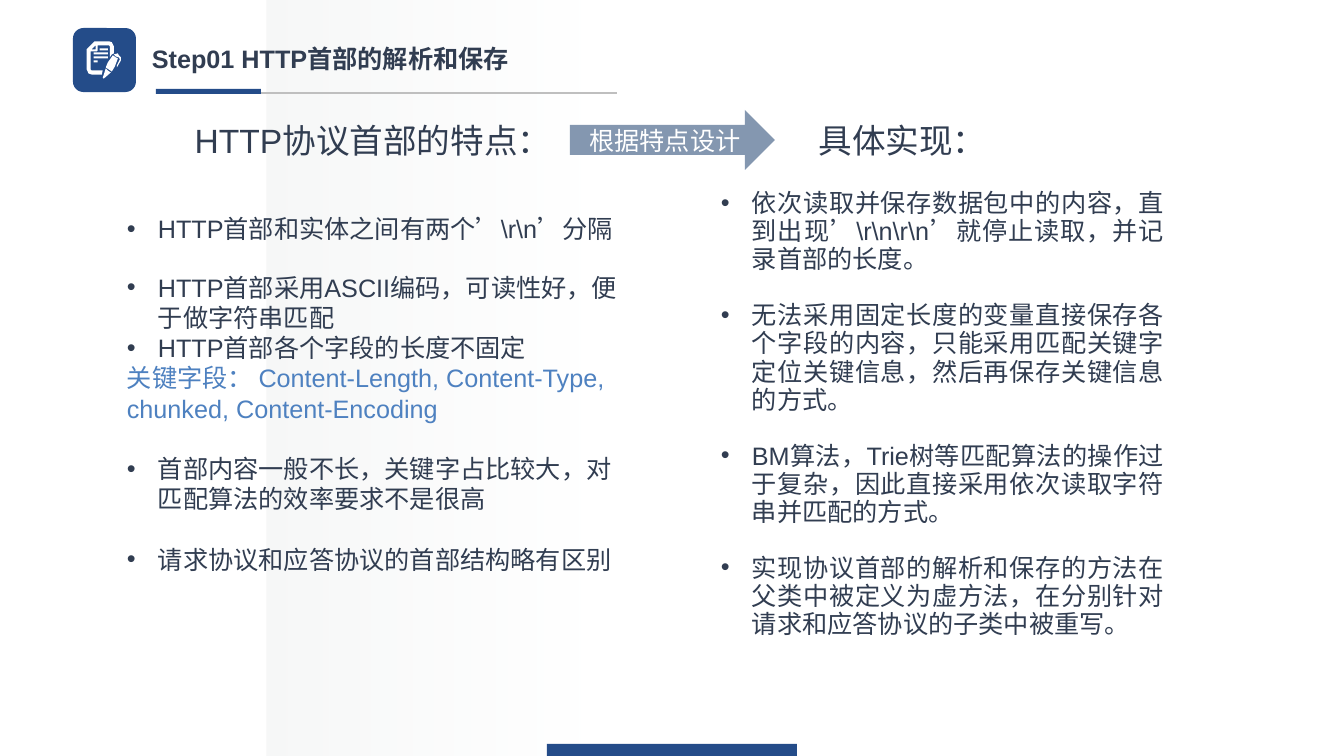
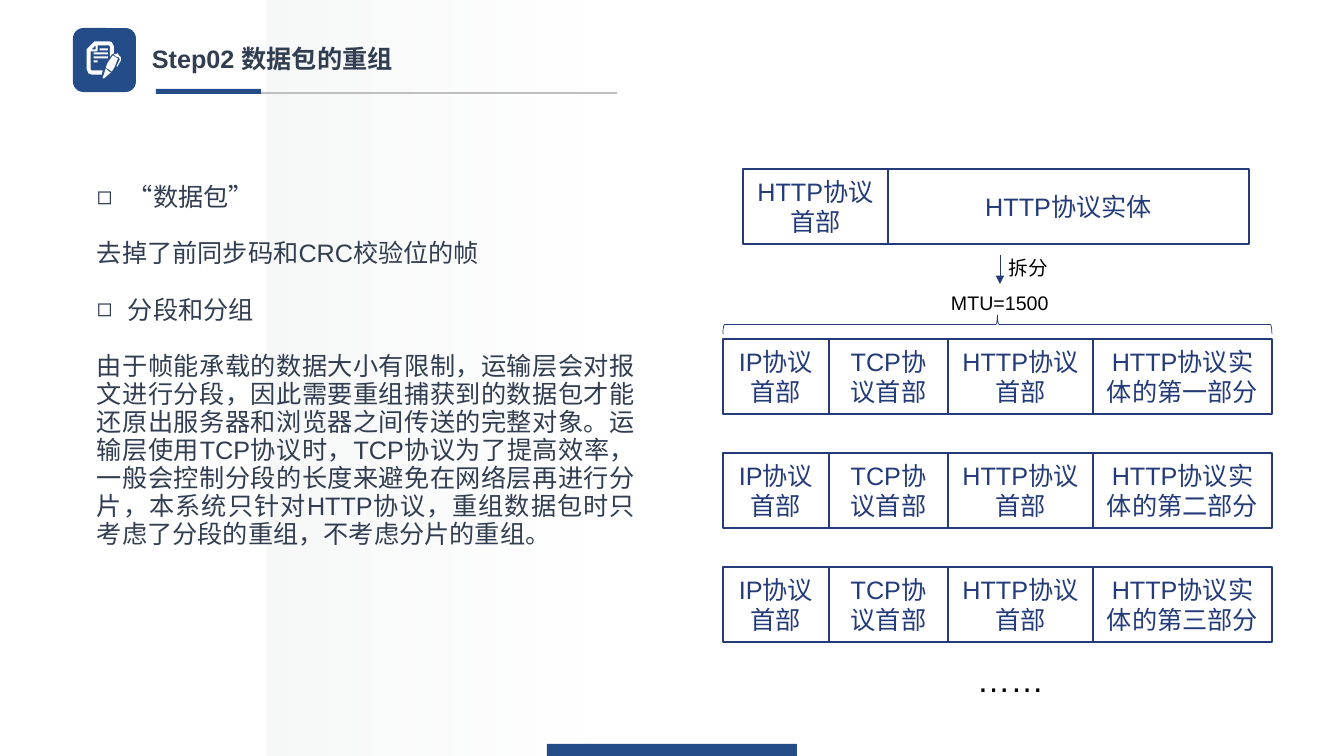
import copy
import pptx
import pptx.util
import pptx.dml.color
import pptx.enum.shapes
import pptx.enum.text
import pptx.oxml
import pptx.oxml.ns
import lxml.etree

Pt = pptx.util.Pt
Kind = pptx.enum.shapes.MSO_SHAPE
Align = pptx.enum.text.PP_ALIGN
qn = pptx.oxml.ns.qn
PX = 914400 / 100.8
COLORS = {"blue": "244C89", "navy": "243B7A", "ink": "313D51", "sky": "4E81C0",
          "steel": "8497B0", "gray": "BFBFBF", "mist": "F6F7F7",
          "white": "FFFFFF", "black": "000000"}
RGB = {name: pptx.dml.color.RGBColor.from_string(code) for name, code in COLORS.items()}

# Text formats
EXACT = {"alignment": Align.JUSTIFY, "line_spacing": Pt(20)}
GAP = {**EXACT, "space_before": Pt(20)}
HEAD = {"alignment": Align.CENTER, "line_spacing": Pt(20)}
MID = {"alignment": Align.CENTER}
FREE = {"alignment": Align.LEFT}
APART = {**FREE, "space_before": Pt(21.5)}

deck = pptx.Presentation()
deck.slide_width, deck.slide_height = int(1344 * PX), int(756 * PX)


def draw(page, kind, box, fill=None, line=None, width=1):
    """Add a shape (left, top, width, height) or, without a kind, a line (x1, y1, x2, y2)."""
    spots = [int(n * PX) for n in box]
    if kind is None:
        item = page.shapes.add_connector(pptx.enum.shapes.MSO_CONNECTOR.STRAIGHT, *spots)
    else:
        item = page.shapes.add_shape(kind, *spots)
        item.shadow.inherit = False
        if fill:
            item.fill.solid()
            item.fill.fore_color.rgb = RGB[fill]
        else:
            item.fill.background()
    if line:
        item.line.color.rgb = RGB[line]
        item.line.width = Pt(width)
    else:
        item.line.fill.background()
    if kind is None:
        lxml.etree.SubElement(item._element.spPr, qn("a:effectLst"))
    return item


def write(shape, rows, color="ink", size=18, bold=False, wrap=True):
    """Fill a shape with rows of (text, paragraph format, bullet, own color, own size)."""
    frame = shape.text_frame
    frame.word_wrap = wrap
    if not wrap:
        frame.auto_size = pptx.enum.text.MSO_AUTO_SIZE.SHAPE_TO_FIT_TEXT
    for i, (text, form, *more) in enumerate(rows):
        mark, tint, big = (more + [None] * 3)[:3]
        para = frame.add_paragraph() if i else frame.paragraphs[0]
        for key, value in form.items():
            setattr(para, key, value)
        if mark:
            props = para._p.get_or_add_pPr()
            props.set("marL", str(int(31 * PX)))
            props.set("indent", str(int(-31 * PX)))
            lxml.etree.SubElement(props, qn("a:buFont")).set("typeface", "Arial")
            lxml.etree.SubElement(props, qn("a:buChar")).set("char", mark)
        run = para.add_run()
        run.text = text
        for key, value in {"name": "Arial", "size": Pt(big or size), "bold": bold}.items():
            setattr(run.font, key, value)
        run.font.color.rgb = RGB[tint or color]


# Icon outlines, in hundredths of an inch
ICON = [
    [(94, 41), (108, 41), (111, 42), (113, 46), (113, 53), (111, 54), (109, 57),
     (109, 46), (108, 45), (97, 45), (97, 50), (96, 51), (90, 51), (90, 69),
     (91, 70), (102, 70), (101, 74), (91, 74), (88, 73), (86, 69), (86, 49)],
    [(117, 53), (118, 55), (120, 57), (120, 60), (116, 67), (116, 65), (119, 59),
     (118, 57), (115, 56), (113, 54)],
    [(117, 58), (114, 66), (111, 71), (108, 69), (105, 67), (107, 62), (112, 55), (115, 57)],
    [(110, 72), (103, 78), (102, 77), (105, 68), (107, 70)],
    [(91, 49), (95, 49), (95, 45)],
]
for x, y, end in [(99, 48, 107), (93, 52, 107), (93, 56, 107), (93, 60, 97)]:
    ICON.append([(x, y), (end, y), (end, y + 2), (x, y + 2)])

# Shared frame: panel, footer, icon, rule and title
pages = []
for title in ["Step01 HTTP首部的解析和保存", "Step02 数据包的重组"]:
    page = deck.slides.add_slide(deck.slide_layouts[6])
    panel = draw(page, Kind.RECTANGLE, (267, 0, 404, 756))
    panel.fill.gradient()
    panel.fill.gradient_angle = 0
    for stop, name, place in zip(panel.fill.gradient_stops, ["mist", "white"], [0, 0.82]):
        stop.color.rgb = RGB[name]
        stop.position = place
    stops = panel._element.spPr.find(".//" + qn("a:gsLst"))
    fade = copy.deepcopy(stops[-1])
    fade.set("pos", "97000")
    lxml.etree.SubElement(fade[0], qn("a:alpha")).set("val", "0")
    stops.append(fade)
    draw(page, Kind.RECTANGLE, (547, 744, 250, 12), "blue")
    draw(page, Kind.ROUNDED_RECTANGLE, (73, 28, 63, 64), "blue")
    pen = page.shapes.build_freeform(*ICON[0][0], scale=9144)
    for i, dots in enumerate(ICON):
        if i:
            pen.move_to(*dots[0])
        pen.add_line_segments(dots[1:], close=True)
    icon = pen.convert_to_shape()
    icon.shadow.inherit = False
    icon.fill.solid()
    icon.fill.fore_color.rgb = RGB["white"]
    icon.line.fill.background()
    draw(page, None, (617, 93, 158, 93), line="gray", width=1.5)
    draw(page, Kind.RECTANGLE, (156, 89, 105, 5), "blue")
    pages.append((page, title))

# Text boxes: page, box, rows
DOT, SQUARE = "•", "◻"
left = [
    ("HTTP协议首部的特点：", HEAD, None, None, 24),
    ("HTTP首部和实体之间有两个’\\r\\n’分隔", {**EXACT, "space_before": Pt(40)}, DOT),
    ("HTTP首部采用ASCII编码，可读性好，便于做字符串匹配",
     {**FREE, "space_before": Pt(20)}, DOT),
    ("HTTP首部各个字段的长度不固定", FREE, DOT),
    ("关键字段： Content-Length, Content-Type, chunked, Content-Encoding", FREE, None, "sky"),
    ("首部内容一般不长，关键字占比较大，对匹配算法的效率要求不是很高", APART, DOT),
    ("请求协议和应答协议的首部结构略有区别", APART, DOT),
]
right = [
    ("依次读取并保存数据包中的内容，直到出现’\\r\\n\\r\\n’就停止读取，并记录首部的长度。", EXACT, DOT),
    ("无法采用固定长度的变量直接保存各个字段的内容，只能采用匹配关键字定位关键信息，"
     "然后再保存关键信息的方式。", GAP, DOT),
    ("BM算法，Trie树等匹配算法的操作过于复杂，因此直接采用依次读取字符串并匹配的方式。", GAP, DOT),
    ("实现协议首部的解析和保存的方法在父类中被定义为虚方法，"
     "在分别针对请求和应答协议的子类中被重写。", GAP, DOT),
]
body = [
    ("“数据包”", EXACT, SQUARE),
    ("去掉了前同步码和CRC校验位的帧", GAP),
    ("分段和分组", GAP, SQUARE),
    ("由于帧能承载的数据大小有限制，运输层会对报文进行分段，因此需要重组捕获到的数据包才能"
     "还原出服务器和浏览器之间传送的完整对象。运输层使用TCP协议时，TCP协议为了提高效率，"
     "一般会控制分段的长度来避免在网络层再进行分片，本系统只针对HTTP协议，"
     "重组数据包时只考虑了分段的重组，不考虑分片的重组。", GAP),
]
first, second = [page for page, title in pages]
for page, box, rows in [
    (first, (117, 127, 512, 488), left),
    (first, (711, 185, 463, 526), right),
    (first, (711, 127, 383, 39), [("具体实现：", HEAD, None, None, 24)]),
    (second, (87, 179, 558, 378), body),
]:
    write(page.shapes.add_textbox(*[int(n * PX) for n in box]), rows)
for page, title in pages:
    area = page.shapes.add_textbox(*[int(n * PX) for n in (142, 32, 672, 43)])
    write(area, [(title, {"line_spacing": 1.2})], bold=True)

# Slide 1: arrow between the columns
arrow = draw(first, Kind.RIGHT_ARROW, (570, 110, 205, 60), "steel")
write(arrow, [("根据特点设计", MID)], "white")

# Slide 2: the whole message, then its segments
bands = [(743, 169, [("HTTP协议首部", 145), ("HTTP协议实体", 361)])]
for i, nth in enumerate("一二三"):
    bands.append((723, 339 + 114 * i, [("IP协议首部", 106), ("TCP协议首部", 119),
                                       ("HTTP协议首部", 145),
                                       (f"HTTP协议实体的第{nth}部分", 179)]))
for x, y, cells in bands:
    for text, wide in cells:
        cell = draw(second, Kind.RECTANGLE, (x, y, wide, 75), line="navy")
        write(cell, [(text, MID)], "navy")
        x += wide

# Slide 2: split arrow, brace and labels
split = draw(second, None, (1000, 255, 1000, 284), line="navy", width=0.5)
lxml.etree.SubElement(split.line._get_or_add_ln(), qn("a:tailEnd")).set("type", "triangle")
brace = draw(second, Kind.RIGHT_BRACE, (988, 50, 19, 549), line="navy", width=0.5)
brace.rotation = 270
for text, box, size in [("拆分", (999, 251, 64, 34), 14),
                        ("MTU=1500", (941, 286, 118, 34), 14),
                        ("……", (967, 654, 89, 50), 24)]:
    label = second.shapes.add_textbox(*[int(n * PX) for n in box])
    write(label, [(text, FREE)], "black", size, wrap=False)

deck.save("out.pptx")
